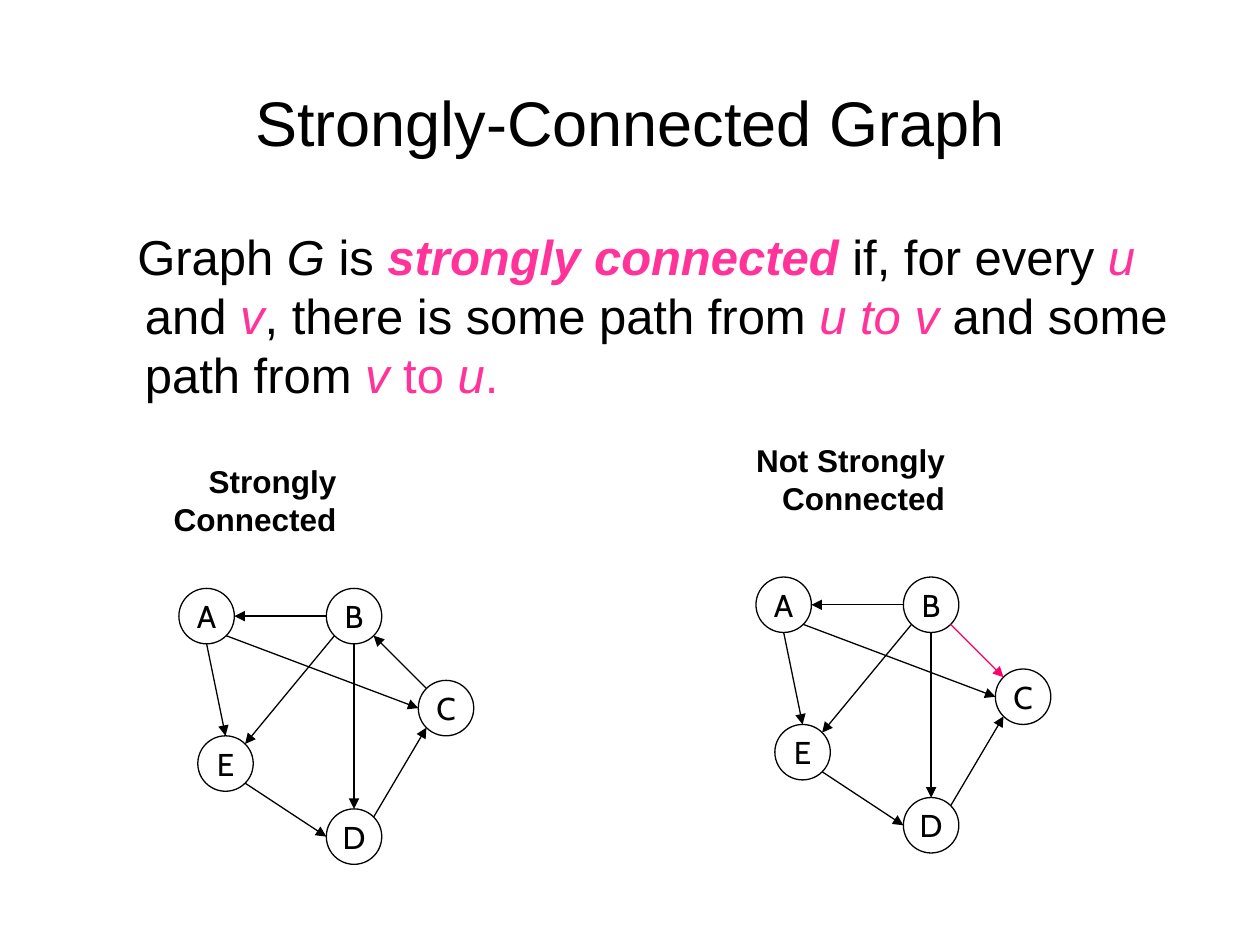
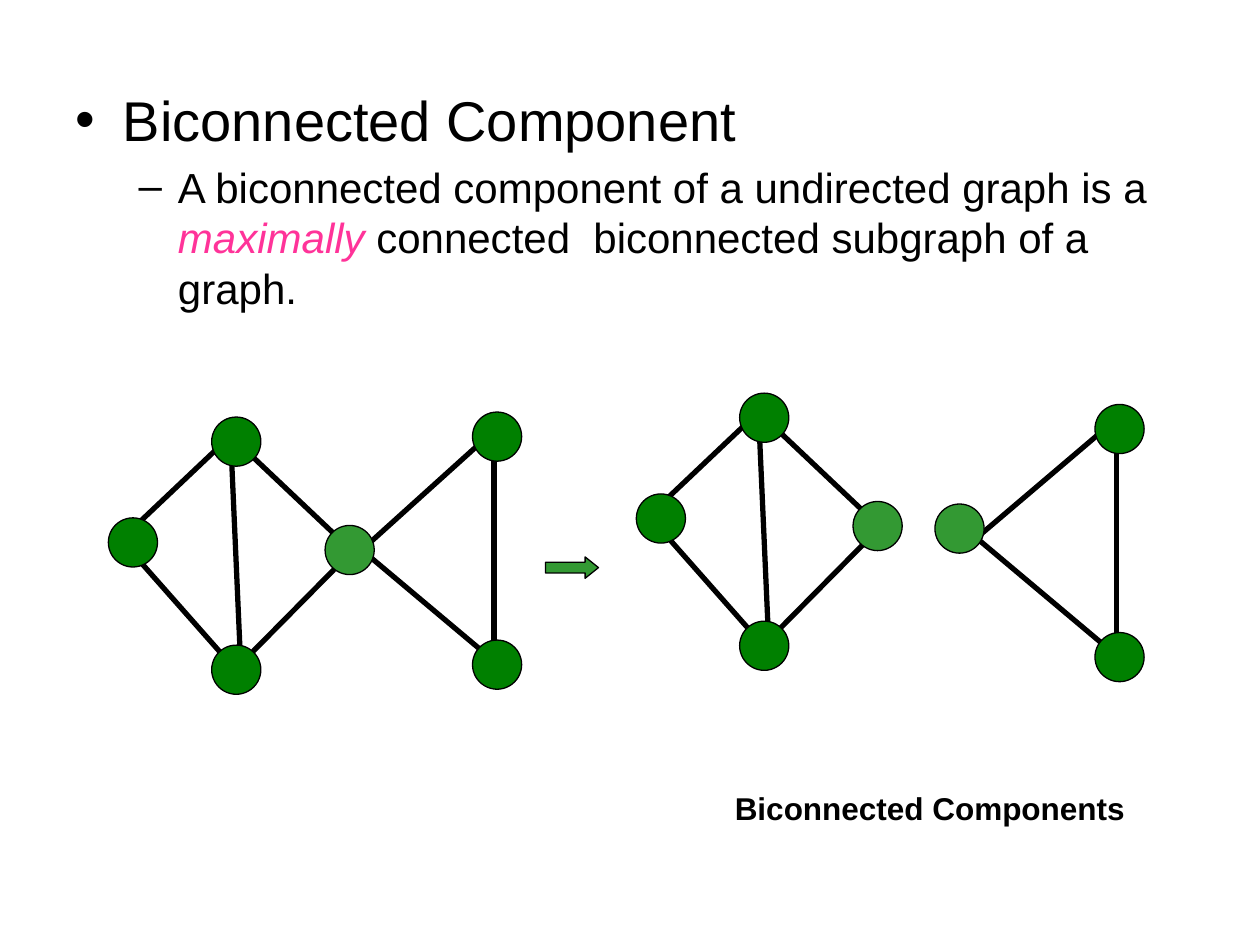
from math import cos, radians, sin

from lxml.etree import SubElement
from pptx import Presentation
from pptx.dml.color import RGBColor
from pptx.enum.shapes import MSO_CONNECTOR, MSO_SHAPE
from pptx.enum.text import MSO_ANCHOR, MSO_AUTO_SIZE, PP_ALIGN
from pptx.oxml.ns import qn
from pptx.util import Pt

PX = 9144  # 100 px to the inch
BLACK, WHITE, PINK, ROSE = "000000", "FFFFFF", "FF3399", "FF0066"
GREEN, LIGHT = "008000", "339933"


def write(para, text, size=18, color=BLACK, font="Arial", bold=False, italic=False):
    run = para.add_run()
    run.text = text
    run.font.size = Pt(size)
    run.font.name = font
    run.font.bold = bold
    run.font.italic = italic
    run.font.color.rgb = RGBColor.from_string(color)


def paint(shape, fill=None, line=BLACK, width=0.75):
    """Set line and fill without a shadow; a connector takes no fill."""
    shape.line.color.rgb = RGBColor.from_string(line)
    shape.line.width = Pt(width)
    if fill:
        shape.fill.solid()
        shape.fill.fore_color.rgb = RGBColor.from_string(fill)
        shape.shadow.inherit = False
    else:
        SubElement(shape.element.spPr, qn("a:effectLst"))


deck = Presentation()
deck.slide_width, deck.slide_height = 1000 * PX, 750 * PX
layout = deck.slide_layouts[1]

# Slide 1: strongly connected graphs
slide = deck.slides.add_slide(layout)
title, body = slide.placeholders
title.left, title.top, title.width, title.height = 75 * PX, 45 * PX, 850 * PX, 103 * PX
title.text_frame.auto_size = MSO_AUTO_SIZE.NONE
write(title.text_frame.paragraphs[0], "Strongly-Connected Graph", size=36)

body.left, body.top, body.width, body.height = 67 * PX, 175 * PX, 883 * PX, 166 * PX
body.text_frame.auto_size = MSO_AUTO_SIZE.NONE
para = body.text_frame.paragraphs[0]
para.space_before = Pt(0)
props = para._p.get_or_add_pPr()
props.set("marL", str(38 * PX))
props.set("indent", str(-6 * PX))
SubElement(props, qn("a:buNone"))
for text, color, bold, italic in [
    ("Graph ", BLACK, False, False),
    ("G", BLACK, False, True),
    (" is ", BLACK, False, False),
    ("strongly connected", PINK, True, True),
    (" if, for every ", BLACK, False, False),
    ("u", PINK, False, True),
    (" and ", BLACK, False, False),
    ("v", PINK, False, True),
    (", there is some path from ", BLACK, False, False),
    ("u to v", PINK, False, True),
    (" and some path from ", BLACK, False, False),
    ("v", PINK, False, True),
    (" to ", PINK, False, False),
    ("u", PINK, False, True),
    (".", PINK, False, False),
]:
    write(para, text, size=28, color=color, bold=bold, italic=italic)

SIZE = 44
nodes = {"A": (0, 0), "B": (117, 0), "E": (15, 117), "D": (117, 175), "C": (190, 73)}
# Each end is a node and the clockwise angle on its rim, from the right
edges = [
    ("A", 90, "E", 270), ("E", 45, "D", 180), ("D", 315, "C", 135),
    ("B", 180, "A", 0), ("B", 135, "E", 315), ("B", 90, "D", 270),
    ("A", 45, "C", 180),
]
back = ("C", 225, "B", 45)
forth = ("B", 45, "C", 225)
for left, top, last, color in [(600, 458, forth, ROSE), (142, 467, back, BLACK)]:
    group = slide.shapes.add_group_shape().shapes
    for name, (x, y) in nodes.items():
        node = group.add_shape(MSO_SHAPE.OVAL, (left + x) * PX, (top + y) * PX,
                               SIZE * PX, SIZE * PX)
        paint(node, fill=WHITE)
        frame = node.text_frame
        frame.margin_left = frame.margin_right = frame.margin_top = frame.margin_bottom = 0
        frame.word_wrap = False
        frame.vertical_anchor = MSO_ANCHOR.MIDDLE
        frame.paragraphs[0].alignment = PP_ALIGN.CENTER
        write(frame.paragraphs[0], name, font="Cabin")
    for edge in edges + [last]:
        ends = []
        for name, angle in (edge[:2], edge[2:]):
            x, y = nodes[name]
            ends.append(round((left + x + SIZE / 2 * (1 + cos(radians(angle)))) * PX))
            ends.append(round((top + y + SIZE / 2 * (1 + sin(radians(angle)))) * PX))
        arrow = group.add_connector(MSO_CONNECTOR.STRAIGHT, *ends)
        paint(arrow, line=color if edge is last else BLACK)
        SubElement(arrow.line._get_or_add_ln(), qn("a:tailEnd"), type="triangle")

for left, top, text in [(117, 367, "Strongly Connected"), (600, 350, "Not Strongly Connected")]:
    frame = slide.shapes.add_textbox(left * PX, top * PX, 150 * PX, 60 * PX).text_frame
    frame.margin_left = frame.margin_right = frame.margin_top = frame.margin_bottom = 0
    frame.word_wrap = True
    frame.paragraphs[0].alignment = PP_ALIGN.RIGHT
    write(frame.paragraphs[0], text, bold=True)

# Slide 2: biconnected components
slide = deck.slides.add_slide(layout)
title, body = slide.placeholders
title.element.getparent().remove(title.element)
body.left, body.top, body.width, body.height = 50 * PX, 63 * PX, 900 * PX, 495 * PX
frame = body.text_frame
frame.auto_size = MSO_AUTO_SIZE.NONE
para = frame.paragraphs[0]
para.space_before = Pt(0)
write(para, "Biconnected Component", size=32)
para = frame.add_paragraph()
para.level = 1
write(para, "A biconnected component of a undirected graph is a ", size=24)
write(para, "maximally", size=24, color=PINK, italic=True)
write(para, " connected  biconnected subgraph of a graph.", size=24)

kite = [
    (183, 346, 191, 527), (108, 417, 183, 346), (100, 433, 183, 527),
    (191, 527, 275, 442), (275, 433, 183, 346),
]
joined = [(283, 433, 383, 517), (392, 333, 392, 545), (291, 433, 383, 350)]
apart = [(775, 427, 875, 511), (886, 327, 886, 539), (775, 427, 875, 342)]
rim = [(86, 411, GREEN), (168, 331, GREEN), (168, 512, GREEN), (258, 417, LIGHT)]
fan = [(375, 327, GREEN), (375, 508, GREEN)]
split = [(869, 321, GREEN), (869, 502, GREEN), (742, 400, LIGHT)]
for dx, dy, lines, dots in [(0, 0, joined, fan), (419, -19, apart, split)]:
    moved = [(a + dx, b + dy, c + dx, d + dy) for a, b, c, d in kite]
    for ends in lines + moved:
        line = slide.shapes.add_connector(MSO_CONNECTOR.STRAIGHT, *[n * PX for n in ends])
        paint(line, width=3)
    for x, y, color in [(x + dx, y + dy, c) for x, y, c in rim] + dots:
        dot = slide.shapes.add_shape(MSO_SHAPE.OVAL, x * PX, y * PX, 39 * PX, 39 * PX)
        paint(dot, fill=color)

arrow = slide.shapes.add_shape(MSO_SHAPE.RIGHT_ARROW, 433 * PX, 442 * PX, 42 * PX, 17 * PX)
arrow.adjustments[1] = 0.625
paint(arrow, fill=LIGHT)

label = slide.shapes.add_shape(MSO_SHAPE.RECTANGLE, 542 * PX, 608 * PX, 392 * PX, 67 * PX)
paint(label, fill=WHITE, line=WHITE)
label.text_frame.word_wrap = False
label.text_frame.vertical_anchor = MSO_ANCHOR.MIDDLE
label.text_frame.paragraphs[0].alignment = PP_ALIGN.CENTER
write(label.text_frame.paragraphs[0], "Biconnected Components", bold=True)

deck.save("out.pptx")
